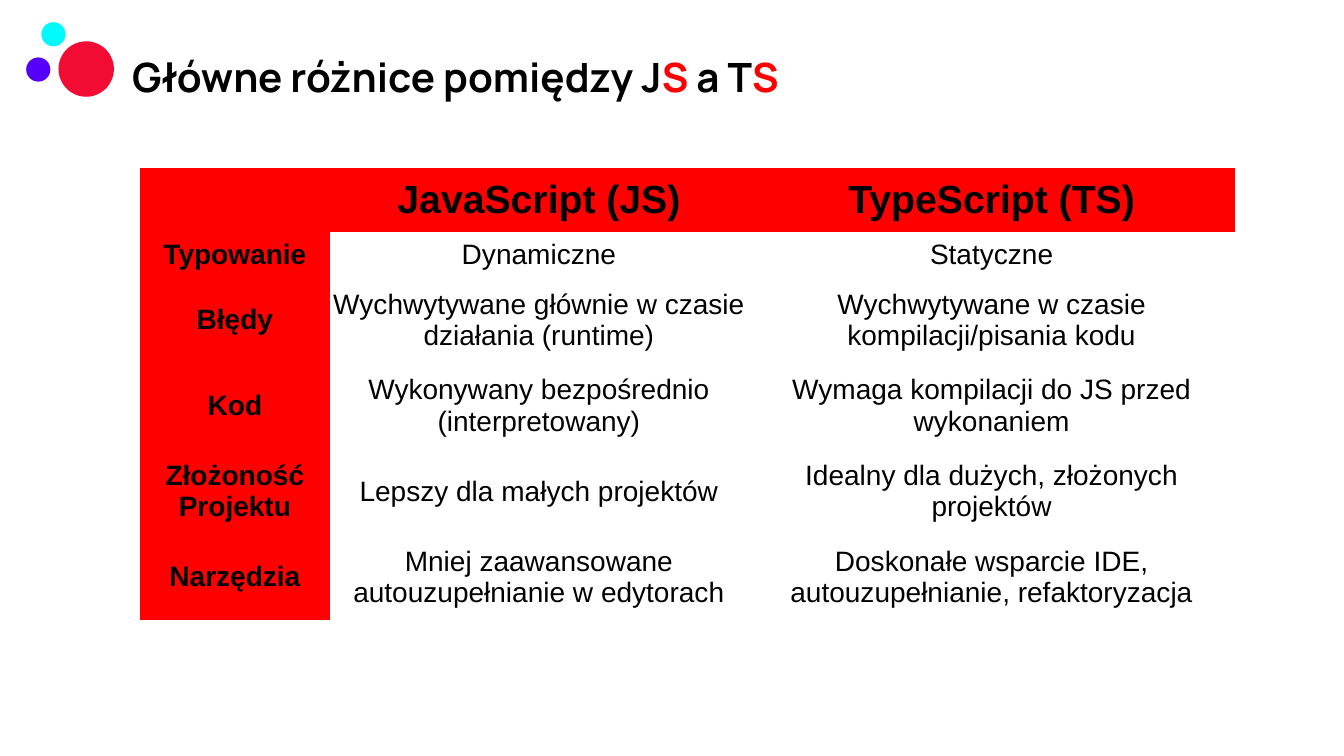
from dataclasses import dataclass

import pptx
import pptx.dml.color
import pptx.enum.shapes
import pptx.enum.text
import pptx.oxml.ns
import pptx.slide
import pptx.text.text
import pptx.util

Inches = pptx.util.Inches

COLOURS = {
    "black": "000000",
    "red": "FF0000",
    "crimson": "F20B32",
    "violet": "5500FC",
    "cyan": "01F9FB",
}
PLAIN_TABLE_STYLE = "{2D5ABB26-0587-4C30-8999-92F81FD0307C}"


@dataclass(frozen=True)
class Dot:
    left: float
    top: float
    diameter: float
    colour: str


DOTS = [
    Dot(0.58, 0.41, 0.55, "crimson"),
    Dot(0.26, 0.57, 0.24, "violet"),
    Dot(0.41, 0.22, 0.24, "cyan"),
]
TITLE_SPANS = [
    ("Główne różnice pomiędzy J", "black"),
    ("S", "red"),
    (" a T", "black"),
    ("S", "red"),
]
COLUMN_WIDTHS = [1.88, 4.15, 4.83]
ROW_HEIGHTS = [0.63, 0.45] + [0.85] * 4
COMPARISON = [
    ("", "JavaScript (JS)", "TypeScript (TS)"),
    ("Typowanie", "Dynamiczne", "Statyczne"),
    ("Błędy", "Wychwytywane głównie w czasie działania (runtime)",
     "Wychwytywane w czasie kompilacji/pisania kodu"),
    ("Kod", "Wykonywany bezpośrednio (interpretowany)",
     "Wymaga kompilacji do JS przed wykonaniem"),
    ("Złożoność Projektu", "Lepszy dla małych projektów",
     "Idealny dla dużych, złożonych projektów"),
    ("Narzędzia", "Mniej zaawansowane autouzupełnianie w edytorach",
     "Doskonałe wsparcie IDE, autouzupełnianie, refaktoryzacja"),
]


def rgb(name: str) -> pptx.dml.color.RGBColor:
    return pptx.dml.color.RGBColor.from_string(COLOURS[name])


def apply_format(target: object, values: dict) -> None:
    for name, value in values.items():
        setattr(target, name, value)


def add_span(para: pptx.text.text._Paragraph, text: str, colour: str, font: dict) -> None:
    span = para.add_run()
    span.text = text
    apply_format(span.font, font)
    span.font.color.rgb = rgb(colour)


def draw_dot(page: pptx.slide.Slide, dot: Dot) -> None:
    shape = page.shapes.add_shape(
        pptx.enum.shapes.MSO_SHAPE.OVAL,
        Inches(dot.left), Inches(dot.top), Inches(dot.diameter), Inches(dot.diameter))
    shape.shadow.inherit = False
    shape.fill.solid()
    shape.fill.fore_color.rgb = rgb(dot.colour)
    shape.line.fill.background()


def format_title(page: pptx.slide.Slide) -> None:
    title = page.shapes.title
    apply_format(title, {"left": Inches(1.21), "top": Inches(0.51),
                         "width": Inches(11.2), "height": Inches(0.56)})
    apply_format(title.text_frame, {
        "word_wrap": True,
        "auto_size": pptx.enum.text.MSO_AUTO_SIZE.NONE,
        "vertical_anchor": pptx.enum.text.MSO_ANCHOR.MIDDLE,
        "margin_left": Inches(0.1), "margin_right": Inches(0.1),
        "margin_top": Inches(0.05), "margin_bottom": Inches(0.05),
    })
    para = title.text_frame.paragraphs[0]
    apply_format(para, {"alignment": pptx.enum.text.PP_ALIGN.LEFT, "line_spacing": 0.9})
    for text, colour in TITLE_SPANS:
        add_span(para, text, colour,
                 {"name": "Manrope", "size": pptx.util.Pt(28.8), "bold": True})


def draw_table(page: pptx.slide.Slide) -> None:
    frame = page.shapes.add_table(
        len(ROW_HEIGHTS), len(COLUMN_WIDTHS), Inches(1.39), Inches(1.67),
        Inches(sum(COLUMN_WIDTHS)), Inches(sum(ROW_HEIGHTS)))
    table = frame.table
    apply_format(table, {"first_row": False, "horz_banding": False})
    style = next(frame.element.iter(pptx.oxml.ns.qn("a:tableStyleId")))
    style.text = PLAIN_TABLE_STYLE
    for column, width in zip(table.columns, COLUMN_WIDTHS):
        column.width = Inches(width)
    for row, height in zip(table.rows, ROW_HEIGHTS):
        row.height = Inches(height)

    # Red header row and header column, clear body cells
    for row_index, texts in enumerate(COMPARISON):
        for column_index, text in enumerate(texts):
            cell = table.cell(row_index, column_index)
            is_header = row_index == 0 or column_index == 0
            apply_format(cell, {
                "vertical_anchor": pptx.enum.text.MSO_ANCHOR.MIDDLE,
                "margin_left": Inches(0.02), "margin_right": Inches(0.02),
                "margin_top": Inches(0.01), "margin_bottom": Inches(0.01),
            })
            if is_header:
                cell.fill.solid()
                cell.fill.fore_color.rgb = rgb("red")
            else:
                cell.fill.background()
            if text:
                para = cell.text_frame.paragraphs[0]
                para.alignment = pptx.enum.text.PP_ALIGN.CENTER
                size = pptx.util.Pt(28 if row_index == 0 else 20)
                add_span(para, text, "black",
                         {"name": "Arial", "size": size, "bold": is_header})


def main() -> None:
    deck = pptx.Presentation()
    apply_format(deck, {"slide_width": Inches(13.33), "slide_height": Inches(7.5)})
    page = deck.slides.add_slide(deck.slide_layouts.get_by_name("Title Only"))

    # Corner decoration
    for dot in DOTS:
        draw_dot(page, dot)

    # Heading and comparison
    format_title(page)
    draw_table(page)
    deck.save("out.pptx")


if __name__ == "__main__":
    main()
